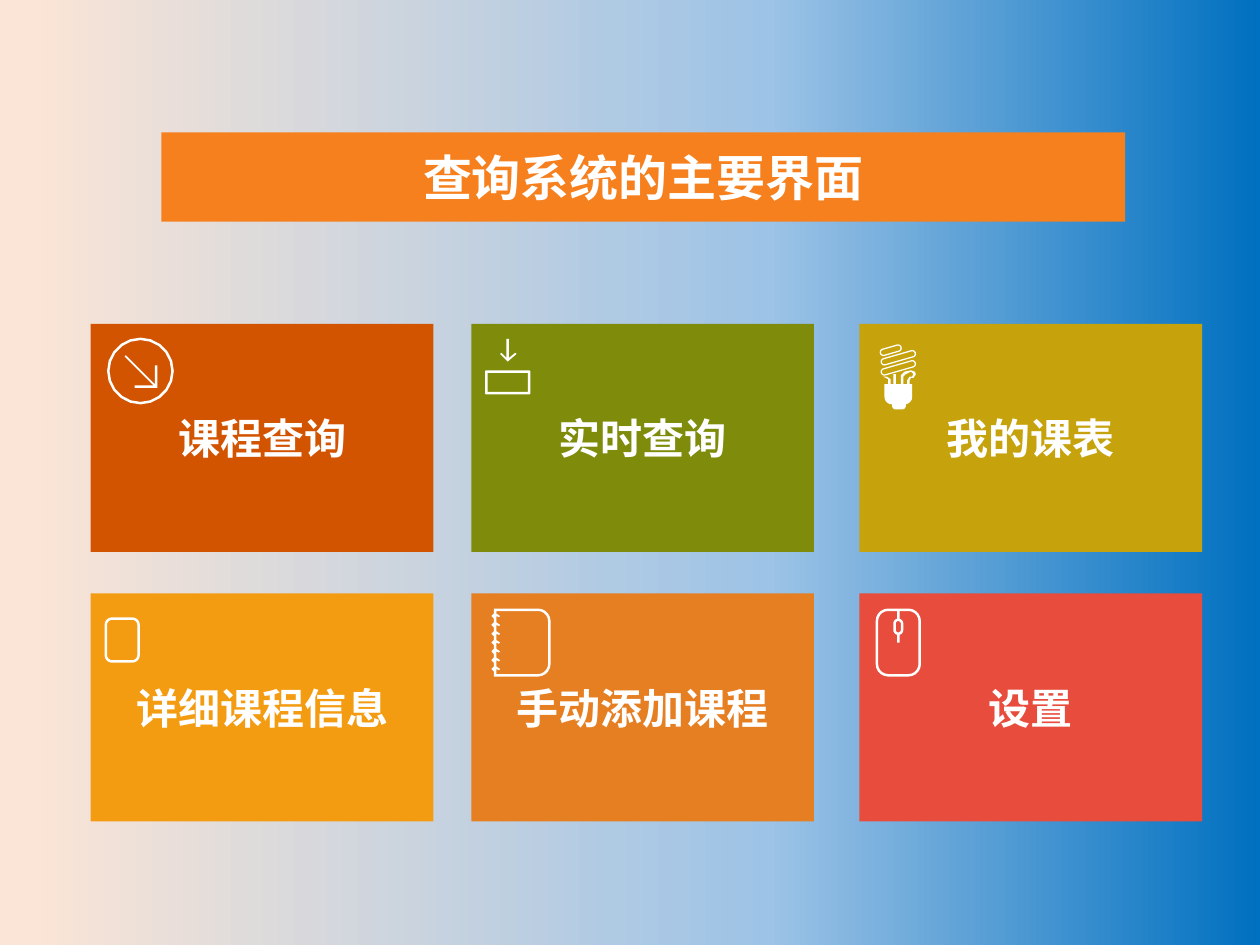
from copy import deepcopy
from math import cos, pi, radians, sin

from pptx import Presentation, util as u
from pptx.dml.color import RGBColor
from pptx.enum import shapes, text
from pptx.oxml.ns import qn

FONT = "Calibri"
WHITE = "FFFFFF"
COLUMNS, ROWS = (0.72, 3.74, 6.82), (2.57, 4.71)
TILE_WIDTH, TILE_HEIGHT = 2.72, 1.81
ARC_STEPS = 5


def colour(value):
    """Return the colour for a hex string."""
    return RGBColor.from_string(value)


def paint_background(page, stops):
    """Fill the page with a horizontal gradient of three stops."""
    fill = page.background.fill
    fill.gradient()
    fill.gradient_angle = 180
    stop_list = page.element.find(".//" + qn("a:gsLst"))
    stop_list.append(deepcopy(stop_list[-1]))
    for stop, (position, value) in zip(fill.gradient_stops, stops):
        stop.position = position
        stop.color.rgb = colour(value)


def paint_shape(shape, fill):
    """Give a shape a plain fill without line or shadow."""
    shape.shadow.inherit = False
    shape.fill.solid()
    shape.fill.fore_color.rgb = colour(fill)
    shape.line.fill.background()


def add_label(collection, frame, fill, words, size):
    """Add a filled rectangle with bold white centred words."""
    box = collection.add_shape(shapes.MSO_SHAPE.RECTANGLE, *map(u.Inches, frame))
    paint_shape(box, fill)
    box.text_frame.text = words
    box.text_frame.word_wrap = True
    box.text_frame.vertical_anchor = text.MSO_ANCHOR.MIDDLE
    para = box.text_frame.paragraphs[0]
    para.alignment = text.PP_ALIGN.CENTER
    font = para.runs[0].font
    font.name, font.size, font.bold = FONT, u.Pt(size), True
    font.color.rgb = colour(WHITE)


def add_icon(collection, left, top, contours):
    """Add one white freeform made of closed contours."""
    builder = None
    for contour in contours:
        start, *rest = [(u.Inches(left + x), u.Inches(top + y)) for x, y in contour]
        if builder is None:
            builder = collection.build_freeform(*start)
        else:
            builder.move_to(*start)
        builder.add_line_segments(rest, close=True)
    paint_shape(builder.convert_to_shape(), WHITE)


def rounded(left, top, width, height, radii=(0, 0, 0, 0)):
    """Return a clockwise rectangle with a radius for each corner."""
    right, bottom = left + width, top + height
    corners = ((left, top, 1, 1), (right, top, -1, 1),
               (right, bottom, -1, -1), (left, bottom, 1, -1))
    points = []
    for turn, ((x, y, to_x, to_y), radius) in enumerate(zip(corners, radii)):
        steps = ARC_STEPS if radius else 0
        for step in range(steps + 1):
            angle = pi + (turn + step / max(steps, 1)) * pi / 2
            points.append((x + radius * (to_x + cos(angle)),
                           y + radius * (to_y + sin(angle))))
    return points


def ring(left, top, width, height, radii, thick=0.02):
    """Return the outer and inner contours of a rounded frame."""
    inner = [max(radius - thick, 0) for radius in radii]
    return [rounded(left, top, width, height, radii),
            rounded(left + thick, top + thick, width - 2 * thick, height - 2 * thick, inner)]


def tube(x, y, length):
    """Return a tilted hollow tube around a centre."""
    tilt = radians(-16)
    level = ring(-length / 2, -0.03, length, 0.06, [0.03] * 4, 0.01)
    return [[(x + a * cos(tilt) - b * sin(tilt), y + a * sin(tilt) + b * cos(tilt))
             for a, b in contour] for contour in level]


def arrow_icon():
    """Return a diagonal arrow in a circle."""
    arrow = [(0.51, 0.33), (0.53, 0.33), (0.53, 0.51), (0.35, 0.51), (0.35, 0.49),
             (0.5, 0.49), (0.27, 0.26), (0.28, 0.25), (0.51, 0.48)]
    return ring(0.13, 0.11, 0.53, 0.53, [0.265] * 4) + [arrow]


def download_icon():
    """Return an arrow pointing down to a tray."""
    arrow = [(0.29, 0.3), (0.23, 0.24), (0.24, 0.23), (0.28, 0.27), (0.28, 0.12),
             (0.3, 0.12), (0.3, 0.27), (0.35, 0.23), (0.36, 0.24)]
    return [arrow] + ring(0.11, 0.37, 0.36, 0.19, [0.01] * 4)


def bulb_icon():
    """Return an energy-saving bulb."""
    left_leg = [(0.19, 0.42), (0.22, 0.42), (0.25, 0.44), (0.25, 0.48),
                (0.23, 0.48), (0.23, 0.44)]
    right_leg = [(0.33, 0.48), (0.33, 0.41), (0.36, 0.38), (0.41, 0.37), (0.44, 0.38),
                 (0.45, 0.4), (0.43, 0.43), (0.41, 0.43), (0.4, 0.45), (0.4, 0.48),
                 (0.38, 0.48), (0.38, 0.45), (0.4, 0.42), (0.42, 0.42), (0.43, 0.4),
                 (0.41, 0.38), (0.37, 0.4), (0.35, 0.42), (0.35, 0.48)]
    return [*tube(0.25, 0.21, 0.18), *tube(0.31, 0.27, 0.29), *tube(0.31, 0.35, 0.29),
            left_leg, rounded(0.27, 0.4, 0.02, 0.08), right_leg,
            rounded(0.2, 0.48, 0.22, 0.16, (0, 0, 0.06, 0.06)),
            rounded(0.26, 0.64, 0.11, 0.04, (0, 0, 0.03, 0.03))]


def plain_icon():
    """Return a plain rounded frame."""
    return ring(0.11, 0.19, 0.28, 0.36, [0.06] * 4)


def notebook_icon():
    """Return a notebook with a ring binding on its left edge."""
    outer, inner = ring(0.18, 0.12, 0.45, 0.54, (0, 0.1, 0.1, 0))
    for index in reversed(range(7)):
        y = 0.18 + 0.07 * index
        outer += [(0.18, y + 0.02), (0.16, y), (0.18, y - 0.02)]
        inner += [(0.2, y), (0.22, y + 0.01), (0.23, y), (0.2, y - 0.02)]
    return [outer, inner]


def mouse_icon():
    """Return a computer mouse with its wheel."""
    cables = [rounded(0.3, top, 0.02, 0.06) for top in (0.14, 0.33)]
    return (ring(0.13, 0.12, 0.36, 0.54, [0.1] * 4)
            + ring(0.27, 0.2, 0.08, 0.13, [0.04] * 4) + cables)


def add_tile(page, column, row, fill, words, contours):
    """Add a grouped tile with its label and icon."""
    group = page.shapes.add_group_shape().shapes
    left, top = COLUMNS[column], ROWS[row]
    add_label(group, (left, top, TILE_WIDTH, TILE_HEIGHT), fill, words, 24)
    add_icon(group, left, top, contours)


def main():
    """Build the slide and save it."""
    deck = Presentation()
    deck.slide_width, deck.slide_height = u.Inches(10), u.Inches(7.5)
    page = deck.slides.add_slide(deck.slide_layouts[6])
    paint_background(page, ((0, "0070C0"), (0.39, "9DC3E6"), (0.98, "FBE5D6")))
    tiles = (
        (1, 1, "E67E22", "手动添加课程", notebook_icon()),
        (0, 0, "D35400", "课程查询", arrow_icon()),
        (2, 0, "C6A30C", "我的课表", bulb_icon()),
        (0, 1, "F39C12", "详细课程信息", plain_icon()),
        (1, 0, "7F8C0B", "实时查询", download_icon()),
        (2, 1, "E74C3C", "设置", mouse_icon()),
    )
    for tile in tiles:
        add_tile(page, *tile)
    add_label(page.shapes, (1.28, 1.05, 7.65, 0.71), "F7801E", "查询系统的主要界面", 28)
    deck.save("out.pptx")


if __name__ == "__main__":
    main()
